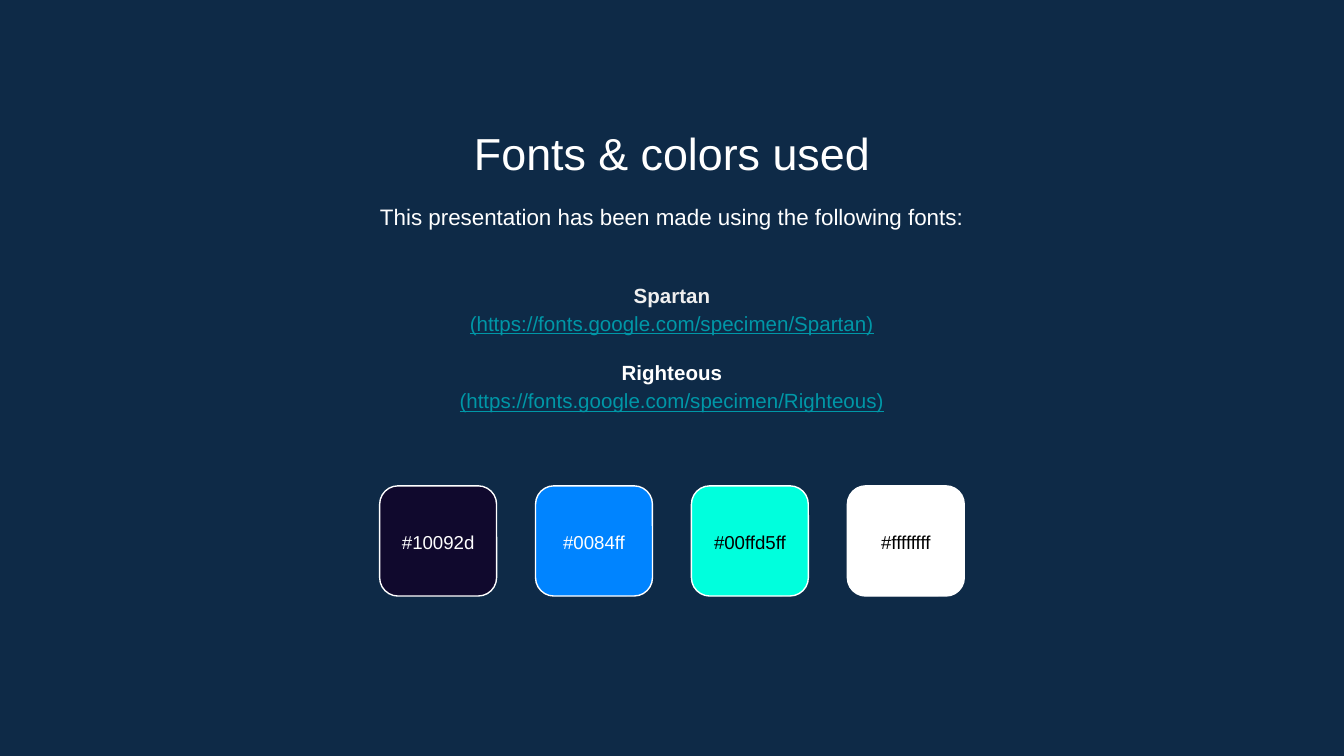
from pptx import Presentation
from pptx.dml.color import RGBColor
from pptx.enum.shapes import MSO_SHAPE as Shape
from pptx.enum.text import MSO_ANCHOR as Anchor, MSO_AUTO_SIZE as AutoSize, PP_ALIGN as Align
from pptx.util import Emu, Pt
from lxml.etree import SubElement
from pptx.oxml.ns import qn

PX = 4572  # EMU per px, 200 px to the inch
SLIDE_WIDTH, SLIDE_HEIGHT = 2000, 1125


def px(length):
    return Emu(length * PX)


def color(hex_code):
    return RGBColor.from_string(hex_code)


class SlideBuilder:
    font = "Arial"
    background = "0E2A47"
    white = "FFFFFF"
    black = "000000"
    pale = "EFEFEF"
    link = "0097A7"
    inset = 20

    def __init__(self, deck, layout):
        self.slide = deck.slides.add_slide(layout)
        fill = self.slide.background.fill
        fill.solid()
        fill.fore_color.rgb = color(self.background)

    def frame(self, shape, anchor):
        frame = shape.text_frame
        frame.word_wrap = True
        frame.auto_size = AutoSize.NONE
        frame.vertical_anchor = anchor
        frame.margin_left = frame.margin_right = px(self.inset)
        frame.margin_top = frame.margin_bottom = px(self.inset)
        return frame

    def style(self, paragraph, size, hex_code, bold=False, underline=False):
        paragraph.alignment = Align.CENTER
        font = paragraph.font
        font.name, font.size = self.font, Pt(size)
        font.bold, font.underline = bold, underline
        font.color.rgb = color(hex_code)

    def place(self, index, top, height, width=1542):
        """Move a placeholder, centred across the slide."""
        holder = self.slide.placeholders[index]
        holder.left, holder.top = px((SLIDE_WIDTH - width) // 2), px(top)
        holder.width, holder.height = px(width), px(height)
        return holder

    def title(self, text, top, height, size):
        frame = self.frame(self.place(0, top, height), Anchor.TOP)
        frame.text = text
        self.style(frame.paragraphs[0], size, self.white)

    def body(self, index, lines, top, height, size, anchor=Anchor.TOP):
        """Each line is text, colour, bold, underline, space before."""
        frame = self.frame(self.place(index, top, height), anchor)
        frame.text = "\n".join(line[0] for line in lines)
        for paragraph, (_, hex_code, bold, underline, gap) in zip(frame.paragraphs, lines):
            properties = paragraph._p.get_or_add_pPr()
            properties.set("marL", "0")
            properties.set("indent", "0")
            SubElement(properties, qn("a:buNone"))
            paragraph.line_spacing = 1.15
            paragraph.space_before = Pt(gap)
            self.style(paragraph, size, hex_code, bold, underline)

    def swatch(self, left, top, width, height, hex_code):
        tile = self.slide.shapes.add_shape(
            Shape.ROUNDED_RECTANGLE, px(left), px(top), px(width), px(height))
        tile.shadow.inherit = False
        tile.fill.solid()
        tile.fill.fore_color.rgb = color(hex_code)
        tile.line.color.rgb = color(self.white)
        tile.line.width = Pt(0.75)

    def label(self, text, left, top, width, height, hex_code):
        box = self.slide.shapes.add_textbox(px(left), px(top), px(width), px(height))
        frame = self.frame(box, Anchor.MIDDLE)
        frame.text = text
        self.style(frame.paragraphs[0], 10, hex_code)


def main():
    deck = Presentation()
    deck.slide_width, deck.slide_height = px(SLIDE_WIDTH), px(SLIDE_HEIGHT)
    page = SlideBuilder(deck, deck.slide_layouts.get_by_name("Two Content"))

    # Heading and introduction
    page.title("Fonts & colors used", 167, 106, 24)
    intro = "This presentation has been made using the following fonts:"
    page.body(1, [(intro, page.white, False, False, 0)], 276, 96, 12)

    # Font names with their addresses
    font_lines = []
    for name, hex_code, gap in (("Spartan", page.pale, 0), ("Righteous", page.white, 11)):
        address = f"(https://fonts.google.com/specimen/{name})"
        font_lines += [(name, hex_code, True, False, gap),
                       (address, page.link, False, True, 0)]
    page.body(2, font_lines, 378, 274, 11, Anchor.MIDDLE)

    # Palette: one tile and its code per colour, centred as a row
    palette = (
        ("#10092d", "10092D", page.white),
        ("#0084ff", "0084FF", page.white),
        ("#00ffd5ff", "00FFDD", page.black),
        ("#ffffffff", "FFFFFF", page.black),
    )
    pitch, tile_width = 232, 174
    row_width = (len(palette) - 1) * pitch + tile_width
    first_left = (SLIDE_WIDTH - row_width) // 2
    for column, (code, fill, ink) in enumerate(palette):
        left = first_left + column * pitch
        page.swatch(left, 723, tile_width, 164, fill)
        page.label(code, left, 758, tile_width, 96, ink)

    deck.save("out.pptx")


if __name__ == "__main__":
    main()
